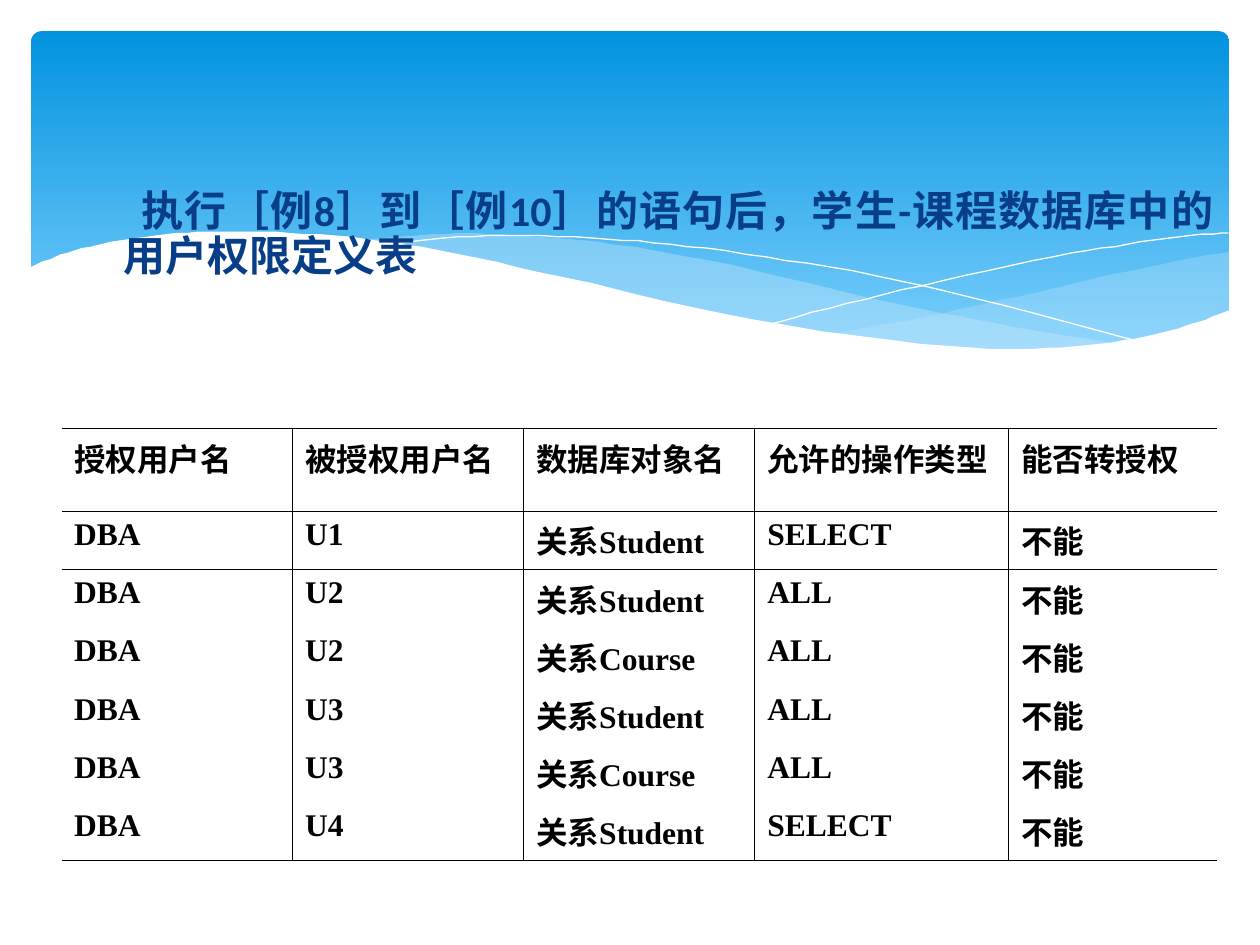
from lxml import etree
from pptx import Presentation
from pptx.dml.color import RGBColor
from pptx.enum.shapes import MSO_SHAPE
from pptx.enum.text import MSO_ANCHOR, MSO_AUTO_SIZE, PP_ALIGN
from pptx.oxml.ns import qn
from pptx.util import Cm, Pt

ROUNDED = MSO_SHAPE.ROUNDED_RECTANGLE
JUSTIFY = PP_ALIGN.JUSTIFY
TOP = MSO_ANCHOR.TOP
NO_FIT = MSO_AUTO_SIZE.NONE
PLAIN_TABLE = "{2D5ABB26-0587-4C30-8999-92F81FD0307C}"
WAVE_UNIT = Cm(0.0254)
CURVE_STEPS = 5

RIGHT_BAND = [
    [(953, 16), (912, 23), (838, 39), (756, 58), (683, 73), (638, 81)],
    [(638, 81), (682, 87), (734, 92), (780, 94), (831, 92), (874, 86),
     (912, 78), (940, 68), (953, 63)],
]
LEFT_BAND = [
    [(870, 89), (814, 81), (752, 70), (683, 56), (606, 38), (546, 24),
     (491, 14), (441, 7), (376, 2), (321, 2), (263, 7)],
    [(263, 7), (319, 15), (381, 27), (468, 48), (543, 64), (611, 77),
     (686, 88), (750, 94), (795, 95), (834, 93), (870, 89)],
]
FALLING_LINE = [[(286, 11), (320, 6), (378, 3), (446, 5), (509, 10),
                 (585, 20), (672, 35), (772, 58), (884, 88)]]
RISING_LINE = [[(590, 73), (649, 57), (725, 39), (813, 20), (872, 10),
                (914, 4), (952, 1)]]
WHITE_CREST = [
    [(954, 62), (927, 72), (887, 83), (840, 90), (786, 93), (721, 90),
     (645, 81), (556, 66), (424, 36), (342, 18), (269, 6), (207, 1),
     (153, 0), (109, 2), (72, 7), (36, 15), (13, 23), (0, 29)],
    [(0, 29), (0, 145)],
    [(0, 145), (954, 145)],
]

HEADINGS = ["授权用户名", "被授权用户名", "数据库对象名", "允许的操作类型", "能否转授权"]
GRANTS = [
    ("U1", "Student", "SELECT"),
    ("U2", "Student", "ALL"),
    ("U2", "Course", "ALL"),
    ("U3", "Student", "ALL"),
    ("U3", "Course", "ALL"),
    ("U4", "Student", "SELECT"),
]


def color(value):
    return RGBColor.from_string(value)


def set_indent(para, left, first):
    properties = para._p.get_or_add_pPr()
    properties.set("marL", str(left))
    properties.set("indent", str(first))


def format_runs(para, font_name, size, value):
    for span in para.runs:
        span.font.name = font_name
        span.font.size = Pt(size)
        span.font.bold = True
        span.font.color.rgb = color(value)


def smooth(knots):
    padded = [knots[0], *knots, knots[-1]]
    points = [knots[0]]
    for a, b, c, d in zip(padded, padded[1:], padded[2:], padded[3:]):
        for step in range(1, CURVE_STEPS + 1):
            t = step / CURVE_STEPS
            points.append(tuple(
                q + t * (r - p) / 2
                + t**2 * (2 * p - 5 * q + 4 * r - s) / 2
                + t**3 * (3 * q - p - 3 * r + s) / 2
                for p, q, r, s in zip(a, b, c, d)))
    return points


def add_curve(group, left, top, segments, closed):
    points = [point for knots in segments for point in smooth(knots)]
    builder = group.shapes.build_freeform(*points[0], scale=WAVE_UNIT)
    builder.add_line_segments(points[1:], close=closed)
    curve = builder.convert_to_shape(left, top)
    curve.shadow.inherit = False
    return curve


def add_wave(page, left, top):
    group = page.shapes.add_group_shape()

    def add_area(segments, value, opacity):
        area = add_curve(group, left, top, segments, True)
        area.fill.solid()
        area.fill.fore_color.rgb = color(value)
        area.line.fill.background()
        tint = area.fill._xPr.find(".//" + qn("a:srgbClr"))
        etree.SubElement(tint, qn("a:alpha"), val=str(opacity * 1000))

    add_area(RIGHT_BAND, "C6E7FC", 29)
    add_area(LEFT_BAND, "C6E7FC", 40)
    for segments in (FALLING_LINE, RISING_LINE):
        stroke = add_curve(group, left, top, segments, False)
        stroke.fill.background()
        stroke.line.color.rgb = color("FFFFFF")
        stroke.line.width = Pt(0)
    add_area(WHITE_CREST, "FFFFFF", 100)


def add_banner(page, left, top, width, height):
    banner = page.shapes.add_shape(ROUNDED, left, top, width, height)
    banner.adjustments[0] = 0.03
    banner.shadow.inherit = False
    banner.line.fill.background()
    banner.fill.gradient()
    banner.fill.gradient_angle = 270
    for stop, value in zip(banner.fill.gradient_stops, ("0293E0", "83D3FE")):
        stop.color.rgb = color(value)
    add_wave(page, left - Cm(0.05), top + Cm(4.04))


def place_caption(body, left, top, width, height):
    body.left, body.top, body.width, body.height = left, top, width, height
    body.element.getparent().append(body.element)
    frame = body.text_frame
    frame.text = "执行［例8］到［例10］的语句后，学生-课程数据库中的用户权限定义表"
    frame.auto_size = NO_FIT
    frame.vertical_anchor = TOP
    frame.margin_top = Cm(0.25)
    para = frame.paragraphs[0]
    set_indent(para, Cm(0.76), Cm(0.36))
    etree.SubElement(para._p.get_or_add_pPr(), qn("a:buNone"))
    para.alignment = JUSTIFY
    para.line_spacing = 0.88
    para.space_before = Pt(0)
    format_runs(para, "Calibri", 24, "073E87")


def add_border(cell, side):
    line = etree.SubElement(cell._tc.get_or_add_tcPr(), qn("a:ln" + side),
                            w=str(Pt(0.45)))
    fill = etree.SubElement(line, qn("a:solidFill"))
    etree.SubElement(fill, qn("a:srgbClr"), val="000000")


def add_grant_table(page, left, top, width, height):
    rows = [HEADINGS] + [("DBA", user, "关系" + relation, action, "不能")
                         for user, relation, action in GRANTS]
    last_row, last_column = len(rows) - 1, len(HEADINGS) - 1
    table = page.shapes.add_table(len(rows), len(HEADINGS),
                                  left, top, width, height).table
    table.first_row = table.horz_banding = False
    table._tbl.tblPr.find(qn("a:tableStyleId")).text = PLAIN_TABLE
    for column, share in zip(table.columns, (0.2, 0.2, 0.2, 0.22, 0.18)):
        column.width = int(width * share)
    for number, row in enumerate(table.rows):
        row.height = Cm(1.02) if number else Cm(1.66)
        for index, cell in enumerate(row.cells):
            cell.text = rows[number][index]
            para = cell.text_frame.paragraphs[0]
            set_indent(para, Cm(0.95), Cm(-0.95))
            format_runs(para, "Times New Roman", 18, "000000")
            borders = {"L": index > 0, "R": index < last_column,
                       "T": number <= 1, "B": number in (0, last_row)}
            for side, shown in borders.items():
                if shown:
                    add_border(cell, side)
            cell.fill.background()


def main():
    deck = Presentation()
    deck.slide_width, deck.slide_height = Cm(25.4), Cm(19.05)
    page = deck.slides.add_slide(deck.slide_layouts[1])
    title = page.shapes.title.element
    title.getparent().remove(title)
    add_banner(page, Cm(0.63), Cm(0.63), Cm(24.15), Cm(6.86))
    place_caption(page.placeholders[1], Cm(1.47), Cm(3.61), Cm(23.24), Cm(3.05))
    add_grant_table(page, Cm(1.24), Cm(8.64), Cm(23.29), Cm(7.78))
    deck.save("out.pptx")


if __name__ == "__main__":
    main()
